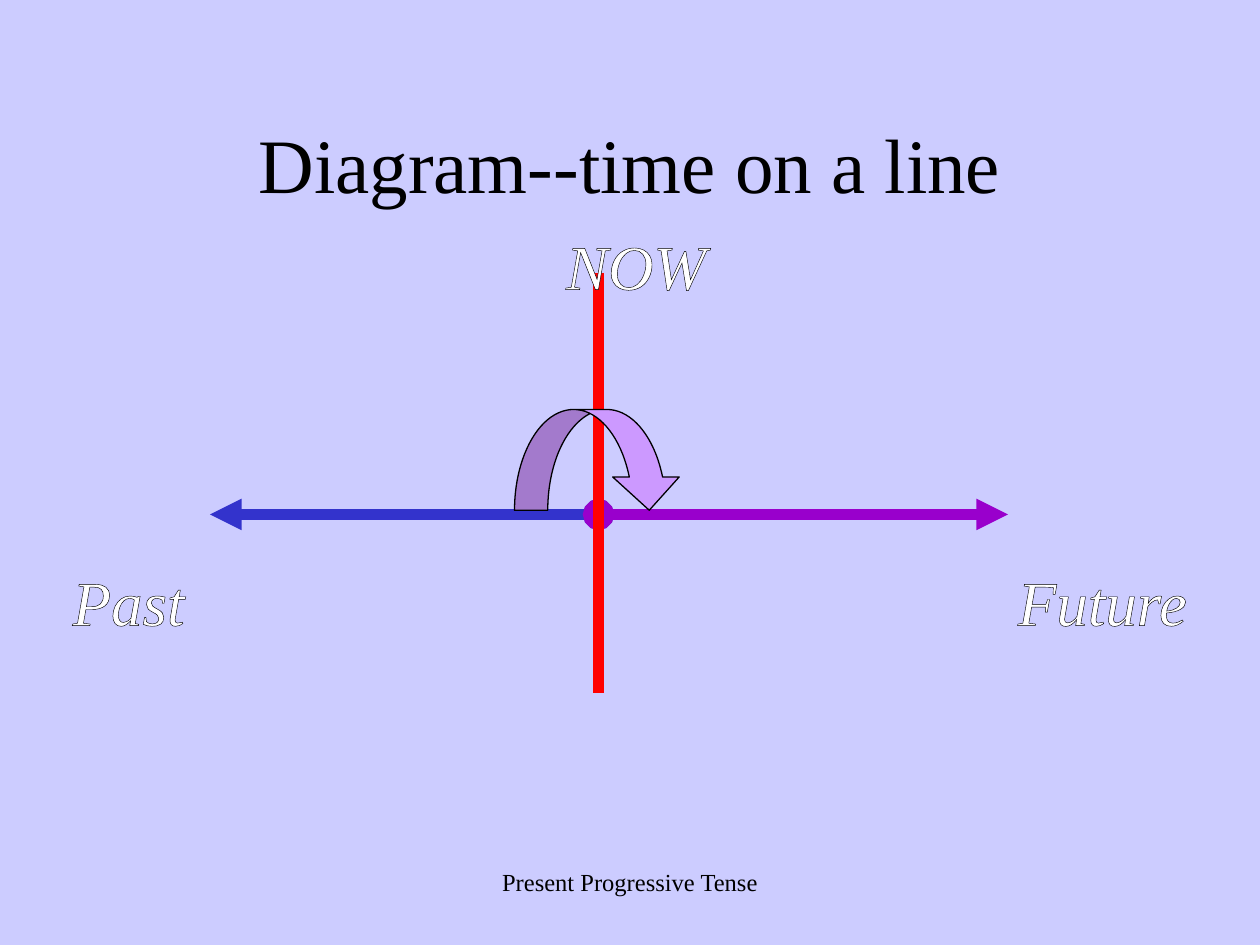
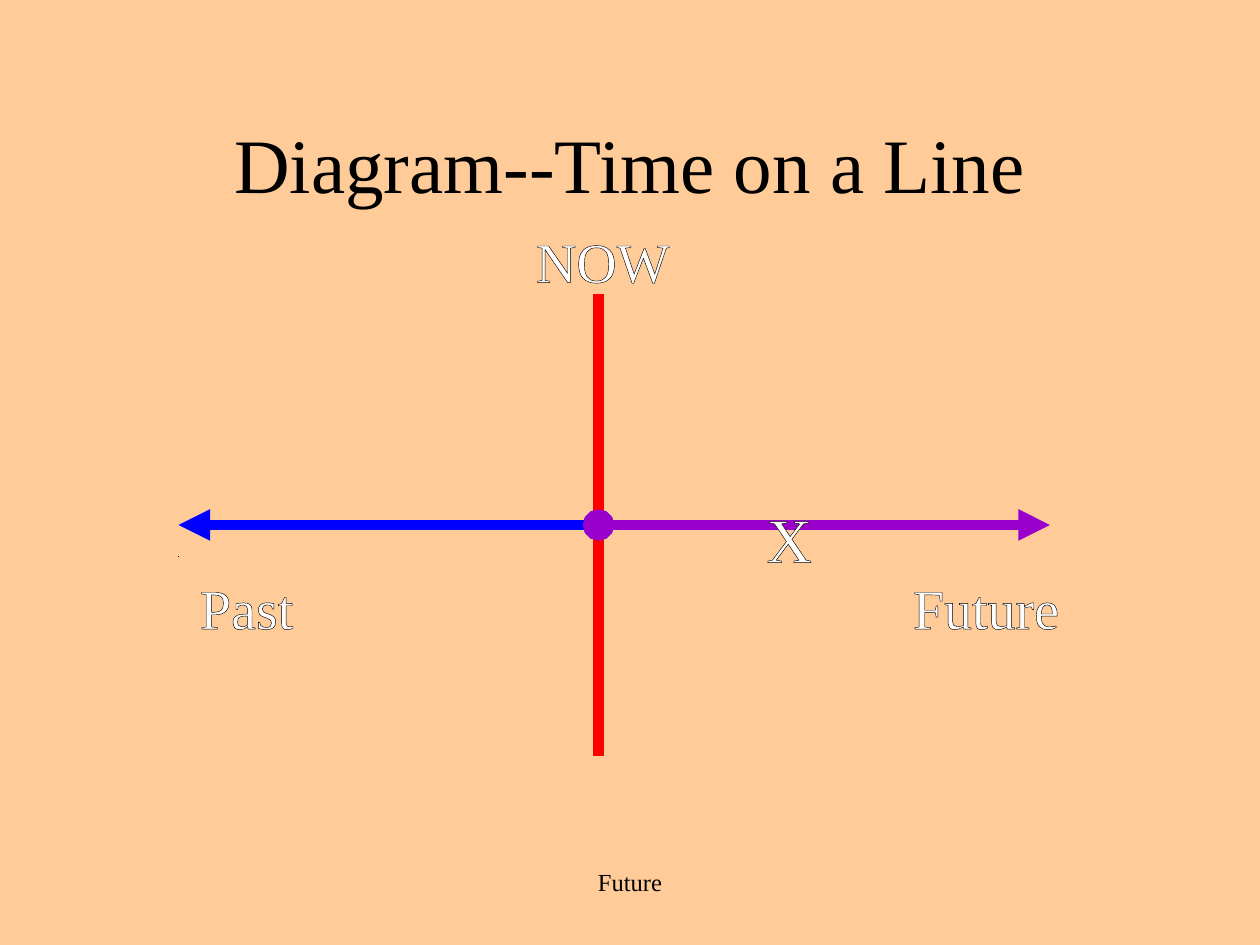
"""Build two slides that show tenses on a time line."""
from lxml.etree import SubElement
from pptx import Presentation
from pptx.dml.color import RGBColor
from pptx.enum.shapes import MSO_CONNECTOR, MSO_SHAPE
from pptx.enum.text import MSO_ANCHOR, PP_ALIGN
from pptx.oxml import parse_xml
from pptx.oxml.ns import nsdecls, qn
from pptx.util import Pt

BLACK = RGBColor(0, 0, 0)
WHITE = RGBColor(255, 255, 255)
RED = RGBColor(255, 0, 0)
PURPLE = RGBColor(0x99, 0, 0xCC)
INDIGO = RGBColor(0x33, 0x33, 0xCC)
BLUE = RGBColor(0, 0, 255)
LILAC = RGBColor(0xCC, 0x99, 0xFF)
LAVENDER = RGBColor(0xCC, 0xCC, 0xFF)
PEACH = RGBColor(0xFF, 0xCC, 0x99)
FONT = "Times New Roman"
NOW_X = 342

SLIDES = [
    {
        "title": "Diagram--time on a line",
        "footer": "Present Progressive Tense",
        "back": LAVENDER,
        "axis": 294,
        "lines": [("time", 120, INDIGO), ("time", 576, PURPLE), ("now", 156, 396)],
        "italic": True,
        "labels": [("Past", 40, 318, 67, 36), ("Future", 580, 318, 100, 36),
                   ("NOW", 322, 126, 83, 36)],
        "arc": (294, 234, 96, 57.6),
    },
    {
        "title": "Diagram--Time on a Line",
        "footer": "Future",
        "back": PEACH,
        "axis": 300,
        "lines": [("dot", 102, 318), ("time", 102, BLUE), ("now", 168, 432),
                  ("time", 600, PURPLE)],
        "italic": False,
        "labels": [("Past", 112, 324, 58, 32), ("Future", 520, 324, 87, 32),
                   ("NOW", 304, 126, 81, 32), ("X", 436, 282, 30, 36)],
        "arc": None,
    },
]


def add_text(slide, text, box, size, color=BLACK):
    shape = slide.shapes.add_textbox(*map(Pt, box))
    frame = shape.text_frame
    frame.word_wrap = True
    para = frame.paragraphs[0]
    para.alignment = PP_ALIGN.CENTER
    run = para.add_run()
    run.text = text
    font = run.font
    font.name, font.size = FONT, Pt(size)
    font.color.rgb = color
    return frame, font


def add_label(slide, label, italic):
    text, left, top, width, size = label
    box = (left, top, width, size * 1.15)
    frame, font = add_text(slide, text, box, size, WHITE)
    frame.word_wrap = False
    frame.margin_left = frame.margin_right = 0
    font.italic = italic
    edge = parse_xml(f'<a:ln {nsdecls("a")} w="{Pt(0.75)}"><a:solidFill>'
                     f'<a:srgbClr val="{BLACK}"/></a:solidFill></a:ln>')
    run = frame.paragraphs[0].runs[0]
    run._r.get_or_add_rPr().insert(0, edge)


def add_line(slide, start, end, color, width=6, arrow=False):
    line = slide.shapes.add_connector(MSO_CONNECTOR.STRAIGHT,
                                      *map(Pt, start + end))
    line.line.color.rgb = color
    line.line.width = Pt(width)
    props = line._element.spPr
    if arrow:
        edge = props.find(qn("a:ln"))
        SubElement(edge, qn("a:headEnd"), type="oval")
        SubElement(edge, qn("a:tailEnd"), type="triangle")
    SubElement(props, qn("a:effectLst"))


def add_arc(slide, box):
    arc = slide.shapes.add_shape(MSO_SHAPE.CURVED_DOWN_ARROW, *map(Pt, box))
    arc.shadow.inherit = False
    for i, value in enumerate((0.33, 0.66, 0.33)):
        arc.adjustments[i] = value
    arc.fill.solid()
    arc.fill.fore_color.rgb = LILAC
    arc.line.color.rgb = BLACK
    arc.line.width = Pt(0.75)


def add_slide(deck, data):
    slide = deck.slides.add_slide(deck.slide_layouts[6])
    fill = slide.background.fill
    fill.solid()
    fill.fore_color.rgb = data["back"]
    add_text(slide, data["footer"], (246, 492, 228, 36), 14)
    frame, _ = add_text(slide, data["title"], (54, 48, 612, 90), 44)
    frame.vertical_anchor = MSO_ANCHOR.MIDDLE
    axis = data["axis"]
    for kind, first, last in data["lines"]:
        if kind == "time":
            add_line(slide, (NOW_X, axis), (first, axis), last, arrow=True)
        elif kind == "now":
            add_line(slide, (NOW_X, first), (NOW_X, last), RED)
        else:
            add_line(slide, (first, last), (first + 0.5, last), BLACK, 0.75)
    for label in data["labels"]:
        add_label(slide, label, data["italic"])
    if data["arc"]:
        add_arc(slide, data["arc"])


def main():
    deck = Presentation()
    deck.slide_width, deck.slide_height = Pt(720), Pt(540)
    for data in SLIDES:
        add_slide(deck, data)
    deck.save("out.pptx")


if __name__ == "__main__":
    main()
